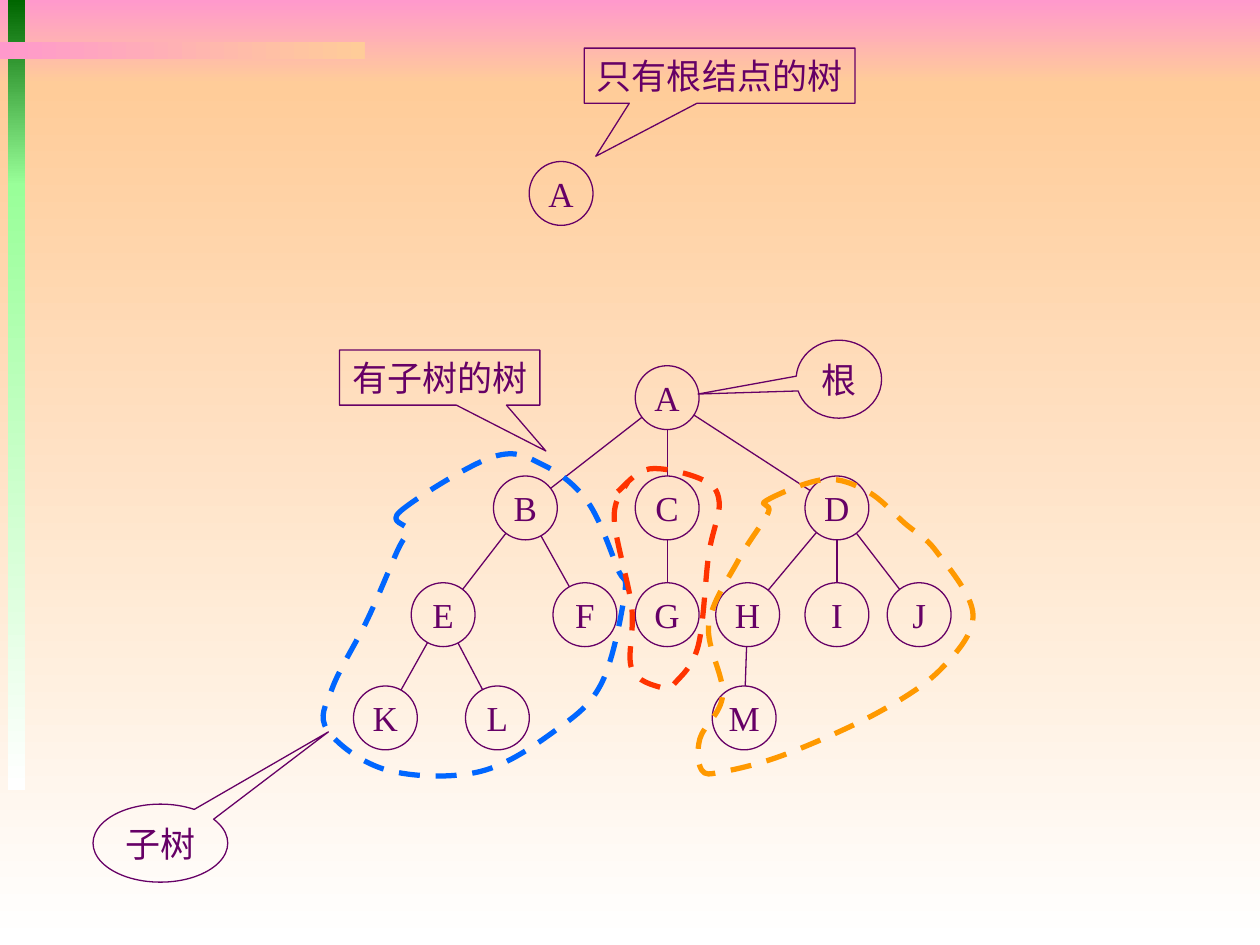
from lxml.etree import SubElement
from math import hypot
from pptx import Presentation
from pptx.dml.color import RGBColor
from pptx.enum.dml import MSO_LINE
from pptx.enum.shapes import MSO_CONNECTOR, MSO_SHAPE
from pptx.enum.text import MSO_ANCHOR, PP_ALIGN
from pptx.oxml.ns import qn
from pptx.util import Pt

COLORS = {
    "ink": "660066", "pink": "FF99CC", "peach": "FFCC99", "white": "FFFFFF",
    "green": "006600", "mint": "99FF99",
    "blue": "0066FF", "red": "FF3300", "orange": "FF9900",
}
FONT = "Times New Roman"
NODE_SIZE = 36.5
ROW_TOPS = (209, 272, 333, 392)
NODE_ROWS = (
    {"A": 363},
    {"B": 282, "C": 363, "D": 460},
    {"E": 235, "F": 316, "G": 363, "H": 409, "I": 460, "J": 507},
    {"K": 202, "L": 266, "M": 407},
)
CHILDREN = {"A": "BCD", "B": "EF", "C": "G", "D": "HIJ", "E": "KL", "H": "M"}
CLOSED_OUTLINES = {
    "blue": (
        (229, 292), (282, 261), (311, 266), (336, 287), (353, 325),
        (357, 339), (344, 390), (318, 417), (274, 441), (221, 440),
        (187, 417), (190, 393), (210, 354), (227, 315), (233, 303),
    ),
    "orange": (
        (438, 286), (471, 274), (496, 281), (517, 299), (535, 315),
        (556, 351), (538, 382), (502, 407), (449, 431), (413, 441),
        (401, 440), (400, 422), (413, 397), (405, 357), (422, 320),
        (439, 293),
    ),
}
OPEN_OUTLINES = {
    "red": (
        (353, 281), (371, 268), (401, 274), (411, 287), (405, 317),
        (399, 369), (386, 390), (378, 393), (361, 382), (361, 347),
        (351, 296), (359, 275),
    ),
}


def color(name):
    return RGBColor.from_string(COLORS[name])


def add_band(slide, box, start, end, angle=270):
    shape = slide.shapes.add_shape(MSO_SHAPE.RECTANGLE, *map(Pt, box))
    shape.shadow.inherit = False
    shape.line.fill.background()
    shape.fill.gradient()
    shape.fill.gradient_angle = angle
    for stop, name in zip(shape.fill.gradient_stops, (start, end)):
        stop.color.rgb = color(name)


def add_label(slide, kind, box, text, adjustments=()):
    shape = slide.shapes.add_shape(kind, *map(Pt, box))
    shape.shadow.inherit = False
    shape.fill.background()
    shape.line.color.rgb = color("ink")
    shape.line.width = Pt(0.75)
    for index, value in enumerate(adjustments):
        shape.adjustments[index] = value
    frame = shape.text_frame
    frame.word_wrap = False
    frame.vertical_anchor = MSO_ANCHOR.MIDDLE
    paragraph = frame.paragraphs[0]
    paragraph.alignment = PP_ALIGN.CENTER
    run = paragraph.add_run()
    run.text = text
    run.font.name = FONT
    run.font.size = Pt(20)
    run.font.color.rgb = color("ink")


def add_node(slide, left, top, letter):
    add_label(slide, MSO_SHAPE.OVAL, (left, top, NODE_SIZE, NODE_SIZE), letter)
    return left + NODE_SIZE / 2, top + NODE_SIZE / 2


def add_branch(slide, parent, child):
    run, rise = child[0] - parent[0], child[1] - parent[1]
    trim = NODE_SIZE / 2 / hypot(run, rise)
    ends = (parent[0] + run * trim, parent[1] + rise * trim,
            child[0] - run * trim, child[1] - rise * trim)
    line = slide.shapes.add_connector(MSO_CONNECTOR.STRAIGHT, *map(Pt, ends))
    line.line.color.rgb = color("ink")
    line.line.width = Pt(0.75)
    SubElement(line._element.spPr, qn("a:effectLst"))


def smooth_vertices(points, closed):
    if closed:
        points = [points[-1], *points, *points[:2]]
    else:
        points = [points[0], *points, points[-1]]
    vertices = [points[1]]
    for before, start, end, after in zip(points, points[1:], points[2:], points[3:]):
        vertices += [
            tuple(s + (e - b) / 6 for b, s, e in zip(before, start, end)),
            tuple(e - (a - s) / 6 for s, e, a in zip(start, end, after)),
            end,
        ]
    return vertices


def add_subtree_outline(slide, points, name, closed):
    vertices = [(Pt(x), Pt(y)) for x, y in smooth_vertices(points, closed)]
    builder = slide.shapes.build_freeform(*vertices[0])
    builder.add_line_segments(vertices[1:], close=closed)
    shape = builder.convert_to_shape()
    segments = list(shape._element.iter(qn("a:lnTo")))
    for first in range(0, len(vertices) - 1, 3):
        curve = segments[first].makeelement(qn("a:cubicBezTo"))
        segments[first].addprevious(curve)
        for segment in segments[first:first + 3]:
            curve.append(segment[0])
            segment.getparent().remove(segment)
    for segment in segments[len(vertices) - 1:]:
        segment.getparent().remove(segment)
    shape.shadow.inherit = False
    shape.fill.background()
    shape.line.color.rgb = color(name)
    shape.line.width = Pt(3)
    shape.line.dash_style = MSO_LINE.DASH


def draw_background(slide, left, top, width, height):
    header = 48
    add_band(slide, (left, top, width, header), "pink", "peach")
    add_band(slide, (left, top + header, width, height - header), "peach", "white")
    add_band(slide, (left + 4.3, top, 10, 106), "green", "mint")
    add_band(slide, (left + 4.3, top + 105, 10, 346.5), "mint", "white")
    add_band(slide, (left, top + 24, 208.4, 9.7), "pink", "peach", 0)


def draw_single_root(slide, left, top):
    add_node(slide, left, top + 64.8, "A")
    add_label(slide, MSO_SHAPE.RECTANGULAR_CALLOUT, (left + 31.4, top, 154.8, 31.5),
              "只有根结点的树", (-0.457, 1.463))


def draw_tree(slide, left, top):
    centers = {}
    for row_top, row in zip(ROW_TOPS, NODE_ROWS):
        for letter, x in row.items():
            centers[letter] = add_node(slide, left + x, top + row_top, letter)
    for parent, children in CHILDREN.items():
        for child in children:
            add_branch(slide, centers[parent], centers[child])
    add_label(slide, MSO_SHAPE.RECTANGULAR_CALLOUT, (left + 194, top + 200, 114.5, 31.5),
              "有子树的树", (0.53, 1.332))
    for outlines, closed in ((CLOSED_OUTLINES, True), (OPEN_OUTLINES, False)):
        for name, points in outlines.items():
            placed = [(left + x, top + y) for x, y in points]
            add_subtree_outline(slide, placed, name, closed)
    add_label(slide, MSO_SHAPE.OVAL_CALLOUT, (left + 455, top + 194.4, 48.8, 44.6),
              "根", (-1.649, 0.19))
    add_label(slide, MSO_SHAPE.OVAL_CALLOUT, (left + 53.2, top + 459.5, 77, 44.6),
              "子树", (1.247, -1.426))


def main():
    presentation = Presentation()
    presentation.slide_width, presentation.slide_height = Pt(720), Pt(540)
    slide = presentation.slides.add_slide(presentation.slide_layouts[6])
    draw_background(slide, 0, 0, 720, 540)
    draw_single_root(slide, 302.4, 27.5)
    draw_tree(slide, 0, 0)
    presentation.save("out.pptx")


if __name__ == "__main__":
    main()
